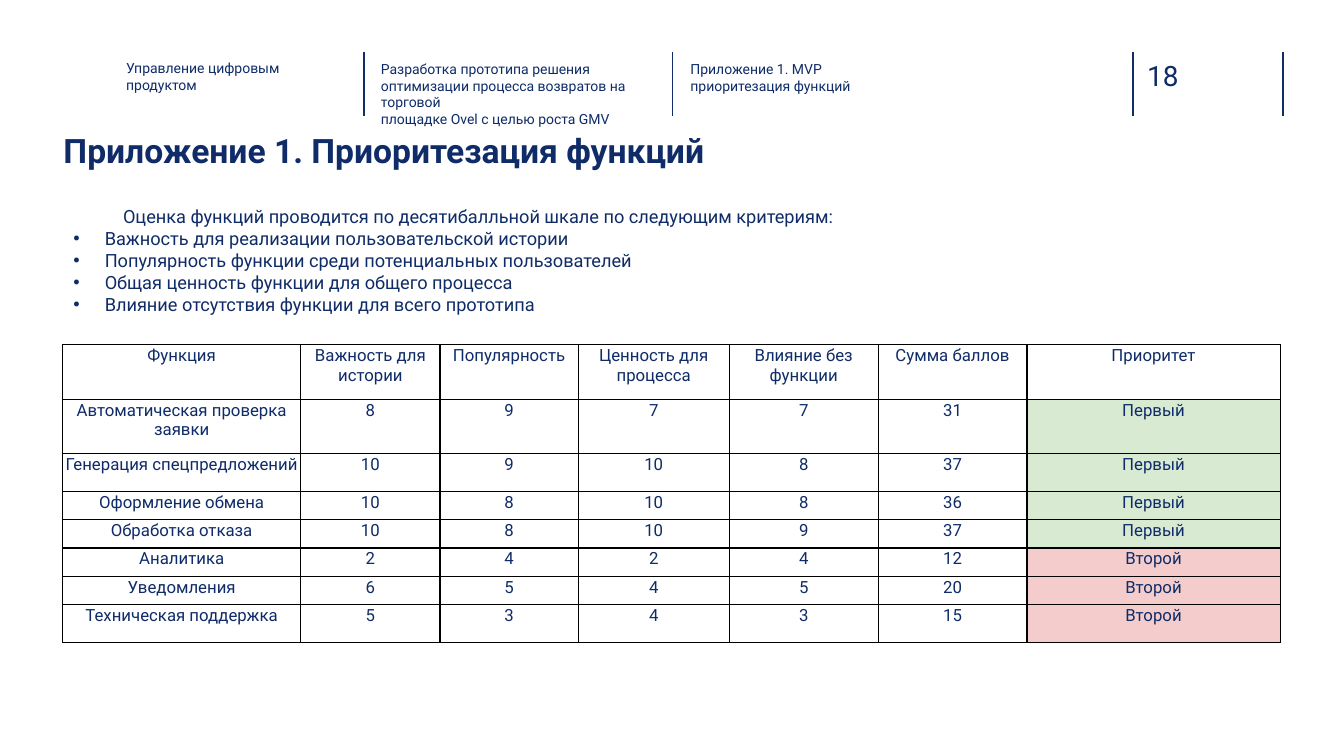
from lxml.etree import SubElement
from pptx import Presentation
from pptx.dml.color import RGBColor
from pptx.enum.text import MSO_ANCHOR, MSO_AUTO_SIZE, PP_ALIGN
from pptx.oxml.ns import qn
from pptx.util import Cm, Pt

NAVY = RGBColor(0x0F, 0x2C, 0x68)
RULE_NAVY = RGBColor(0x10, 0x2D, 0x69)
BLACK = RGBColor(0x00, 0x00, 0x00)
GREEN = RGBColor(0xD9, 0xEA, 0xD3)
PINK = RGBColor(0xF4, 0xCC, 0xCC)
PRIORITY_FILLS = {"Первый": GREEN, "Второй": PINK}

RULE_TOP, RULE_BOTTOM = 1.3, 2.92
RULE_POSITIONS = [9.17, 16.94, 28.55, 32.33]
# Text, position, font size
HEADER = [
    ("Управление цифровым продуктом", (3.18, 1.5, 5.28, 1.14), 10),
    ("Разработка прототипа решения оптимизации процесса возвратов на торговой\n"
     "площадке Ovel с целью роста GMV", (9.6, 1.52, 6.86, 1.14), 10),
    ("Приложение 1. MVP приоритезация функций", (17.4, 1.52, 5.74, 1.14), 10),
    ("18", (28.91, 1.47, 1.85, 0.86), 20),
]
INTRO = "Оценка функций проводится по десятибалльной шкале по следующим критериям:"
CRITERIA = [
    "Важность для реализации пользовательской истории",
    "Популярность функции среди потенциальных пользователей",
    "Общая ценность функции для общего процесса",
    "Влияние отсутствия функции для всего прототипа",
]
COLUMN_WIDTHS = [6, 3.51, 3.48, 3.81, 3.75, 3.75, 6.38]
ROW_HEIGHTS = [1.37, 1.37, 0.96, 0.71, 0.71, 0.71, 0.71, 0.96]
SCORES = [
    ["Функция", "Важность для истории", "Популярность", "Ценность для процесса",
     "Влияние без функции", "Сумма баллов", "Приоритет"],
    ["Автоматическая проверка заявки", 8, 9, 7, 7, 31, "Первый"],
    ["Генерация спецпредложений", 10, 9, 10, 8, 37, "Первый"],
    ["Оформление обмена", 10, 8, 10, 8, 36, "Первый"],
    ["Обработка отказа", 10, 8, 10, 9, 37, "Первый"],
    ["Аналитика", 2, 4, 2, 4, 12, "Второй"],
    ["Уведомления", 6, 5, 4, 5, 20, "Второй"],
    ["Техническая поддержка", 5, 3, 4, 3, 15, "Второй"],
]


def apply_format(target, values):
    for name, value in values.items():
        setattr(target, name, value)


def margins(horizontal, vertical):
    return {"margin_left": Cm(horizontal), "margin_right": Cm(horizontal),
            "margin_top": Cm(vertical), "margin_bottom": Cm(vertical)}


class SlideBuilder:
    """Holds the text style and the slide being built."""

    font_name = "Roboto"
    color = NAVY

    def __init__(self, slide):
        self.slide = slide

    def fill_paragraph(self, paragraph, text, size, bold=False, align=PP_ALIGN.LEFT):
        paragraph.text = text
        apply_format(paragraph, {"alignment": align, "space_before": Pt(0)})
        for run in paragraph.runs:
            apply_format(run.font, {"name": self.font_name, "size": Pt(size), "bold": bold})
            run.font.color.rgb = self.color

    def place(self, shape, position, horizontal=0, vertical=0):
        apply_format(shape, dict(zip(("left", "top", "width", "height"), map(Cm, position))))
        apply_format(shape.text_frame, {
            "word_wrap": True, "auto_size": MSO_AUTO_SIZE.NONE,
            "vertical_anchor": MSO_ANCHOR.TOP, **margins(horizontal, vertical)})
        return shape.text_frame

    def rule(self, x):
        line = self.slide.shapes.add_connector(1, Cm(x), Cm(RULE_TOP), Cm(x), Cm(RULE_BOTTOM))
        line.line.color.rgb = RULE_NAVY
        line.line.width = Pt(1)
        SubElement(line._element.spPr, qn("a:effectLst"))

    def label(self, text, position, size):
        frame = self.place(self.slide.shapes.add_textbox(0, 0, 0, 0), position)
        self.fill_paragraph(frame.paragraphs[0], text, size)

    def title(self, text, position):
        frame = self.place(self.slide.shapes.title, position)
        self.fill_paragraph(frame.paragraphs[0], text, 24, bold=True)

    def criteria(self, intro, items, position):
        frame = self.place(self.slide.placeholders[1], position, 0.25, 0.13)
        for index, text in enumerate([intro, *items]):
            paragraph = frame.add_paragraph() if index else frame.paragraphs[0]
            properties = paragraph._p.get_or_add_pPr()
            left, indent = (Cm(0.79), Cm(-0.79)) if index else (0, Cm(1.25))
            properties.set("marL", str(left))
            properties.set("indent", str(indent))
            if index:
                SubElement(properties, qn("a:buFont"), typeface="Arial")
                SubElement(properties, qn("a:buChar"), char="•")
            else:
                SubElement(properties, qn("a:buNone"))
            self.fill_paragraph(paragraph, text, 13, align=PP_ALIGN.JUSTIFY)

    def borders(self, cell):
        properties = cell._tc.get_or_add_tcPr()
        for side in ("lnL", "lnR", "lnT", "lnB"):
            edge = SubElement(properties, qn(f"a:{side}"), w=str(Pt(1)))
            fill = SubElement(edge, qn("a:solidFill"))
            SubElement(fill, qn("a:srgbClr"), val=str(BLACK))

    def score_table(self, rows, left, top):
        table = self.slide.shapes.add_table(
            len(rows), len(rows[0]), Cm(left), Cm(top),
            Cm(sum(COLUMN_WIDTHS)), Cm(sum(ROW_HEIGHTS))).table
        apply_format(table, {"first_row": False, "horz_banding": False})
        for column, width in zip(table.columns, COLUMN_WIDTHS):
            column.width = Cm(width)
        for row, height, values in zip(table.rows, ROW_HEIGHTS, rows):
            row.height = Cm(height)
            for cell, value in zip(row.cells, values):
                apply_format(cell, margins(0.03, 0.03))
                self.fill_paragraph(cell.text_frame.paragraphs[0], str(value), 12,
                                    align=PP_ALIGN.CENTER)
                self.borders(cell)
                if value in PRIORITY_FILLS:
                    cell.fill.solid()
                    cell.fill.fore_color.rgb = PRIORITY_FILLS[value]
                else:
                    cell.fill.background()


def main():
    presentation = Presentation()
    apply_format(presentation, {"slide_width": Cm(33.87), "slide_height": Cm(19.05)})
    builder = SlideBuilder(presentation.slides.add_slide(presentation.slide_layouts[1]))
    for x in RULE_POSITIONS:
        builder.rule(x)
    for text, position, size in HEADER:
        builder.label(text, position, size)
    builder.title("Приложение 1. Приоритезация функций", (1.6, 3.28, 29.77, 2.16))
    builder.score_table(SCORES, 1.58, 8.69)
    builder.criteria(INTRO, CRITERIA, (1.6, 5.05, 24.74, 3.02))
    presentation.save("out.pptx")


if __name__ == "__main__":
    main()
